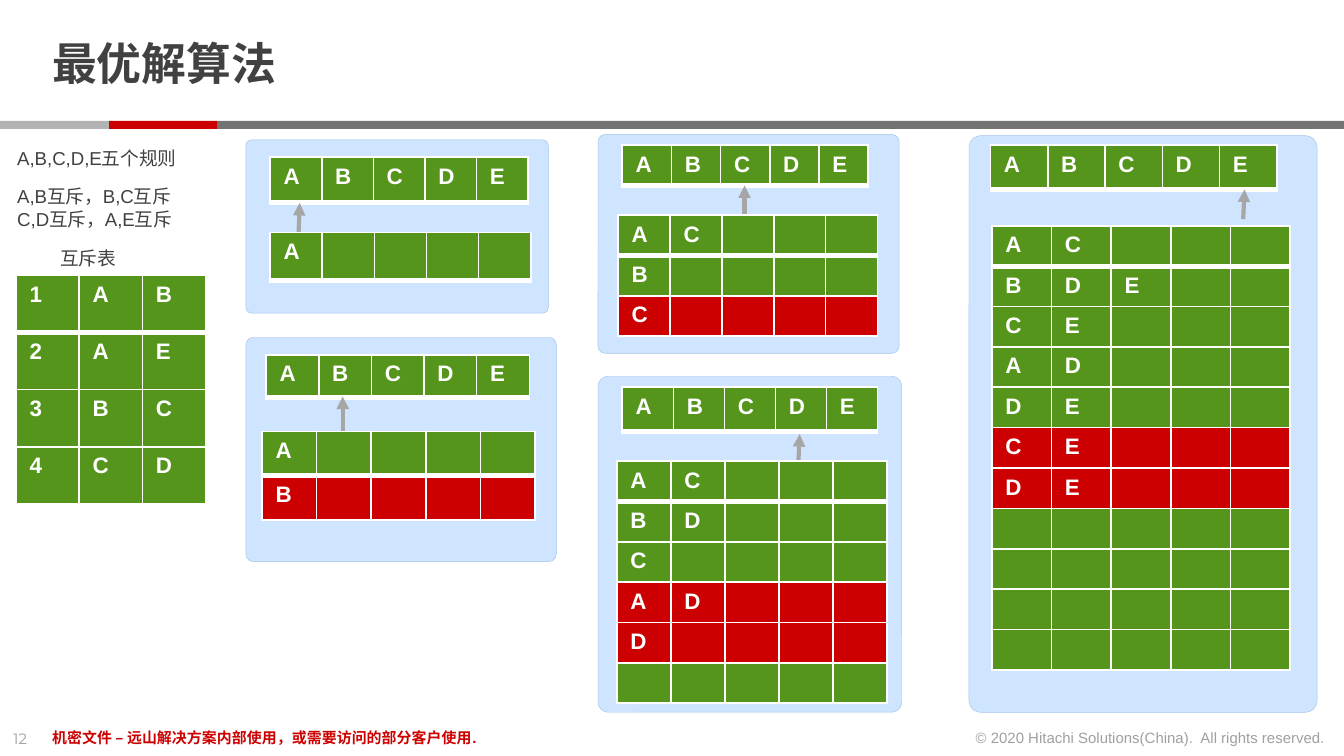
from lxml import etree
from pptx import Presentation, util as u
from pptx.dml.color import RGBColor
from pptx.enum import shapes, text
from pptx.oxml.ns import qn

WIDTH = 10
HEIGHT = WIDTH * 9 / 16

WHITE = RGBColor(0xFF, 0xFF, 0xFF)
INK = RGBColor(0x41, 0x41, 0x41)
RED = RGBColor(0xCC, 0x00, 0x00)
GREEN = RGBColor(0x55, 0x95, 0x1B)
GREY = RGBColor(0x73, 0x73, 0x73)
LIGHT_GREY = RGBColor(0xB3, 0xB3, 0xB3)
ARROW = RGBColor(0xA6, 0xA6, 0xA6)
PANEL = RGBColor(0xB3, 0xD7, 0xFF)
PANEL_EDGE = RGBColor(0xA3, 0xC4, 0xEA)

TITLE = "最优解算法"
RULES = "ABCDE"
CONFLICTS = ["1AB", "2AE", "3BC", "4CD"]
BARS = [(1.62, 8.38, GREY), (0.81, 0.81, RED), (0, 0.81, LIGHT_GREY)]

# Lines, box, font size, font, colour, then options
TEXTS = [
    (["12"], (0, 5.38, 0.34, 0.24), 8, "Montserrat", INK,
     dict(alpha=50, wrap=False)),
    (["© 2020 Hitachi Solutions(China).  All rights reserved."],
     (7.12, 5.37, 2.84, 0.24), 8, "Arial", INK,
     dict(alpha=50, wrap=False, align=text.PP_ALIGN.RIGHT)),
    (["机密文件 – 远山解决方案内部使用，或需要访问的部分客户使用."],
     (0.29, 5.37, 6.74, 0.24), 8, "Arial", RED, dict(bold=True)),
    (["A,B,C,D,E五个规则"], (0.03, 1.04, 1.46, 0.27), 10, "Arial", INK, {}),
    (["A,B互斥，B,C互斥", "C,D互斥，A,E互斥"],
     (0.03, 1.33, 1.46, 0.44), 10, "Arial", INK, {}),
    (["互斥表"], (0.35, 1.79, 0.62, 0.27), 10, "Arial", INK, dict(wrap=False)),
]

# One entry per step: the queue of rules, the arrow from the candidate sets
# up to the queue, and those sets (red lists the indexes of rejected rows)
STEPS = [
    dict(panel=(1.83, 1.04, 2.25, 1.29), queue=(2.01, 1.17, 1.92, 0.34),
         arrow=(2.22, 1.78, 2.23, 1.51), grid=(2.01, 1.73, 1.94, 0.36),
         sets=["A"], red=[]),
    dict(panel=(1.83, 2.51, 2.31, 1.67), queue=(1.98, 2.64, 1.96, 0.32),
         arrow=(2.55, 3.23, 2.55, 2.95), grid=(1.95, 3.21, 2.03, 0.33),
         sets=["A", "B"], red=[1]),
    dict(panel=(4.45, 1, 2.24, 1.63), queue=(4.63, 1.08, 1.83, 0.3),
         arrow=(5.54, 1.61, 5.54, 1.38), grid=(4.6, 1.6, 1.93, 0.3),
         sets=["AC", "B", "C"], red=[2]),
    dict(panel=(4.45, 2.8, 2.26, 2.5), queue=(4.63, 2.88, 1.9, 0.33),
         arrow=(5.94, 3.45, 5.95, 3.23), grid=(4.59, 3.43, 2.01, 0.3),
         sets=["AC", "BD", "C", "AD", "D", ""], red=[3, 4]),
    dict(panel=(7.21, 1.01, 2.59, 4.29), queue=(7.37, 1.08, 2.13, 0.33),
         arrow=(9.25, 1.63, 9.26, 1.41), grid=(7.38, 1.68, 2.22, 0.3),
         sets=["AC", "BDE", "CE", "AD", "DE", "CE", "DE", "", "", "", ""],
         red=[5, 6]),
]


def inches(values):
    return [u.Inches(v) for v in values]


def set_alpha(parent, percent):
    for color in parent.iter(qn("a:srgbClr")):
        etree.SubElement(color, qn("a:alpha")).set("val", str(percent * 1000))


def add_run(p, words, size, font, color, bold=False):
    r = p.add_run()
    r.text = words
    r.font.size, r.font.name, r.font.bold = u.Pt(size), font, bold
    r.font.color.rgb = color
    return r


def add_text(s, lines, box, size, font, color, bold=False, alpha=None,
             wrap=True, align=text.PP_ALIGN.LEFT):
    tf = s.shapes.add_textbox(*inches(box)).text_frame
    tf.word_wrap = wrap
    for i, line in enumerate(lines):
        p = tf.add_paragraph() if i else tf.paragraphs[0]
        p.alignment = align
        r = add_run(p, line, size, font, color, bold)
        if alpha:
            set_alpha(r._r, alpha)
    return tf


def add_box(s, kind, box, color):
    sp = s.shapes.add_shape(kind, *inches(box))
    sp.shadow.inherit = False
    sp.fill.solid()
    sp.fill.fore_color.rgb = color
    sp.line.fill.background()
    return sp


def add_panel(s, box):
    sp = add_box(s, shapes.MSO_SHAPE.ROUNDED_RECTANGLE, box, PANEL)
    sp.adjustments[0] = 0.034
    set_alpha(sp._element.spPr, 63)
    sp.line.color.rgb = PANEL_EDGE
    sp.line.width = u.Pt(0.25)


def add_arrow(s, ends):
    c = s.shapes.add_connector(shapes.MSO_CONNECTOR.STRAIGHT, *inches(ends))
    c.line.color.rgb = ARROW
    c.line.width = u.Pt(2.25)
    etree.SubElement(c.line._get_or_add_ln(), qn("a:tailEnd")).set("type", "triangle")
    etree.SubElement(c._element.spPr, qn("a:effectLst"))


def set_borders(cell, bottom):
    tc_pr = cell._tc.get_or_add_tcPr()
    for side, width in (("L", 1), ("R", 1), ("T", 1), ("B", bottom)):
        ln = etree.SubElement(tc_pr, qn("a:ln" + side), w=str(u.Pt(width)))
        fill = etree.SubElement(ln, qn("a:solidFill"))
        etree.SubElement(fill, qn("a:srgbClr"), val=str(WHITE))


def add_grid(s, place, rows, columns=5, red=()):
    """Fill a table with one letter per cell; place is left, top, width, row height."""
    x, y, w, row_h = place
    table = s.shapes.add_table(len(rows), columns,
                               *inches((x, y, w, row_h * len(rows)))).table
    table.first_row = table.horz_banding = False
    for i, letters in enumerate(rows):
        table.rows[i].height = u.Inches(row_h)
        for j, letter in enumerate(letters.ljust(columns)):
            cell = table.cell(i, j)
            set_borders(cell, bottom=1 if i else 3)
            cell.fill.solid()
            cell.fill.fore_color.rgb = RED if i in red else GREEN
            p = cell.text_frame.paragraphs[0]
            if letter.strip():
                add_run(p, letter, 12, "Arial", WHITE, bold=True)
            else:
                etree.SubElement(p._p, qn("a:endParaRPr"), sz="1200")


def main():
    prs = Presentation()
    prs.slide_width, prs.slide_height = inches((WIDTH, HEIGHT))
    s = prs.slides.add_slide(prs.slide_layouts[6])

    for x, w, color in BARS:
        add_box(s, shapes.MSO_SHAPE.RECTANGLE, (x, 0.9, w, 0.06), color)
    tf = add_text(s, [TITLE], (0.29, 0.13, 7.71, 0.73), 24, "Montserrat", INK, True)
    tf.vertical_anchor = text.MSO_ANCHOR.MIDDLE
    tf.margin_top = tf.margin_bottom = 0
    tf.paragraphs[0].line_spacing = 0.85

    add_grid(s, (0.12, 2.05, 1.41, 1.7 / len(CONFLICTS)), CONFLICTS, columns=3)
    for lines, box, size, font, color, options in TEXTS:
        add_text(s, lines, box, size, font, color, **options)

    for step in STEPS:
        add_panel(s, step["panel"])
        add_grid(s, step["queue"], [RULES])
        add_arrow(s, step["arrow"])
        add_grid(s, step["grid"], step["sets"], red=step["red"])
    prs.save("out.pptx")


if __name__ == "__main__":
    main()
